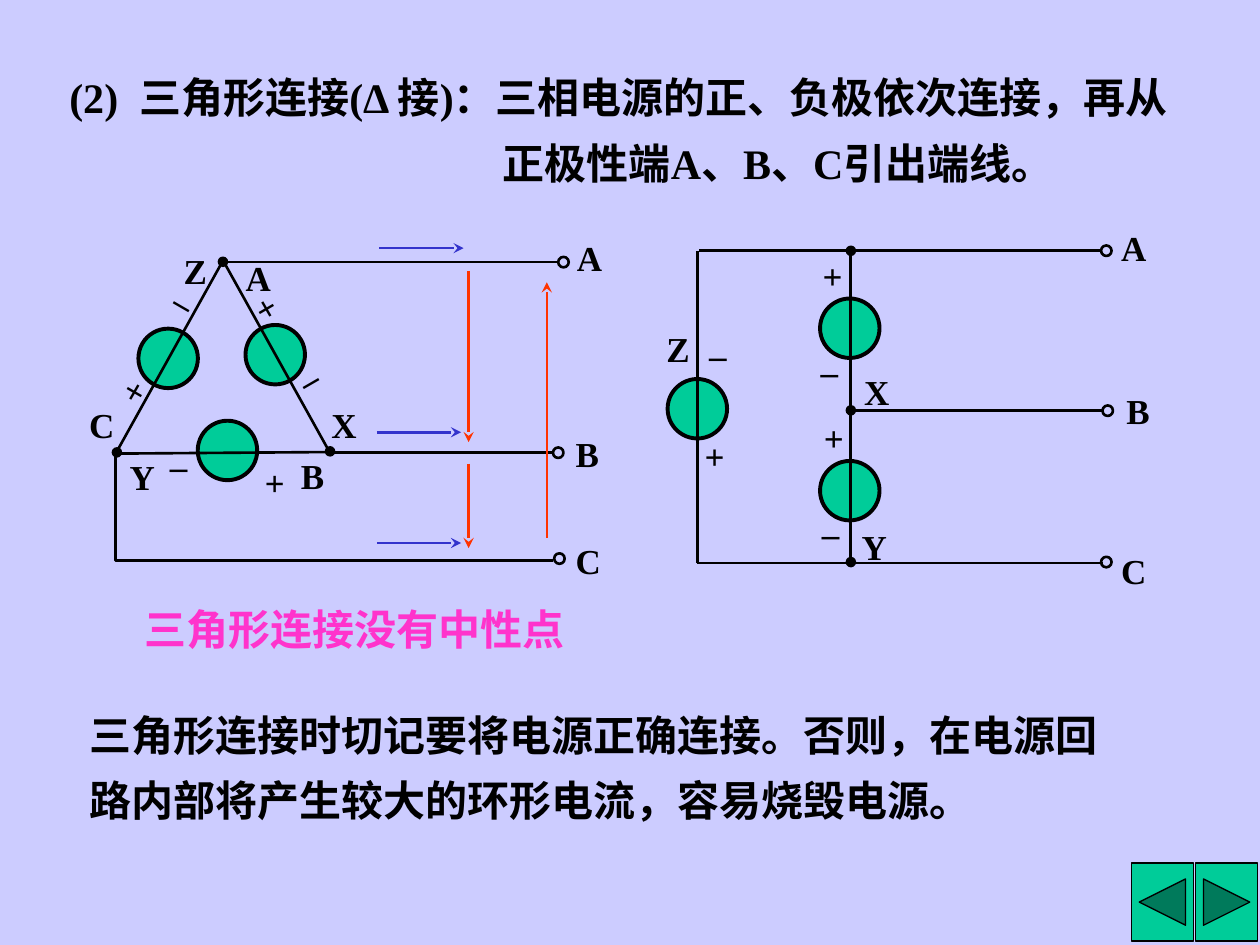
import pptx
import pptx.dml.color
import pptx.enum.shapes
import pptx.enum.text
import pptx.oxml
import pptx.oxml.ns
import pptx.util
from dataclasses import dataclass
from typing import Any

Pt = pptx.util.Pt
SHAPE = pptx.enum.shapes.MSO_SHAPE
ANCHOR = pptx.enum.text.MSO_ANCHOR
COLORS = {
    "background": "CCCCFF",
    "ink": "000000",
    "green": "00CC99",
    "pink": "FF33CC",
    "voltage": "FF3300",
    "current": "3333CC",
}
FONT = "Times New Roman"
SOURCE_SIZE, NODE_SIZE, TERMINAL_SIZE = 34, 4.5, 6
LABEL_WIDTH, SIGN_WIDTH, LABEL_HEIGHT = 37.4, 21.6, 31

Point = tuple[float, float]


@dataclass
class Label:
    text: str
    left: float
    top: float
    rotation: float = 0
    width: float = LABEL_WIDTH


@dataclass
class Arrow:
    start: Point
    end: Point
    color: str


@dataclass
class Circuit:
    sources: list[Point]
    wires: list[list[Point]]
    nodes: list[Point]
    terminals: list[Point]
    labels: list[Label]
    arrows: list[Arrow]


def rgb(name: str) -> pptx.dml.color.RGBColor:
    return pptx.dml.color.RGBColor.from_string(COLORS[name])


def write(p: Any, text: str, *, size: float = 24, color: str = "ink", spacing: float = 0) -> None:
    r = p.add_run()
    r.text = text
    r.font.name = FONT
    r.font.size = Pt(size)
    r.font.bold = True
    r.font.color.rgb = rgb(color)
    if spacing:
        r.font._element.set("spc", str(int(spacing * 100)))


def set_frame(sp: Any, *, anchor: Any = ANCHOR.TOP, wrap: bool = True, line_spacing: float = 1) -> Any:
    tf = sp.text_frame
    tf.word_wrap = wrap
    tf.auto_size = pptx.enum.text.MSO_AUTO_SIZE.SHAPE_TO_FIT_TEXT
    tf.vertical_anchor = anchor
    p = tf.paragraphs[0]
    p.alignment = pptx.enum.text.PP_ALIGN.LEFT
    p.line_spacing = line_spacing
    return p


def add_box(shapes: Any, left: float, top: float, width: float, height: float) -> Any:
    return shapes.add_textbox(Pt(left), Pt(top), Pt(width), Pt(height))


def add_preset(shapes: Any, kind: Any, left: float, top: float, width: float, height: float,
               fill: str | None, weight: float) -> None:
    sp = shapes.add_shape(kind, Pt(left), Pt(top), Pt(width), Pt(height))
    sp.shadow.inherit = False
    if fill:
        sp.fill.solid()
        sp.fill.fore_color.rgb = rgb(fill)
    else:
        sp.fill.background()
    sp.line.color.rgb = rgb("ink")
    sp.line.width = Pt(weight)


def add_circles(shapes: Any, centers: list[Point], size: float, fill: str | None, weight: float) -> None:
    for x, y in centers:
        add_preset(shapes, SHAPE.OVAL, x - size / 2, y - size / 2, size, size, fill, weight)


def add_line(shapes: Any, start: Point, end: Point, color: str = "ink", arrow: bool = False) -> None:
    line = shapes.add_connector(pptx.enum.shapes.MSO_CONNECTOR.STRAIGHT, *map(Pt, start + end))
    line.line.color.rgb = rgb(color)
    line.line.width = Pt(1.5)
    if arrow:
        tail = pptx.oxml.parse_xml(f'<a:tailEnd {pptx.oxml.ns.nsdecls("a")} type="stealth"/>')
        line.line._get_or_add_ln().append(tail)
    line._element.spPr.append(pptx.oxml.parse_xml(f'<a:effectLst {pptx.oxml.ns.nsdecls("a")}/>'))


def add_wire(shapes: Any, points: list[Point]) -> None:
    if len(points) == 2:
        add_line(shapes, *points)
        return
    builder = shapes.build_freeform(*map(Pt, points[0]))
    builder.add_line_segments([(Pt(x), Pt(y)) for x, y in points[1:]], close=False)
    sp = builder.convert_to_shape()
    sp.shadow.inherit = False
    sp.fill.background()
    sp.line.color.rgb = rgb("ink")
    sp.line.width = Pt(1.5)


def add_circuit(slide: Any, circuit: Circuit) -> None:
    shapes = slide.shapes.add_group_shape().shapes
    add_circles(shapes, circuit.sources, SOURCE_SIZE, "green", 2.25)
    for points in circuit.wires:
        add_wire(shapes, points)
    add_circles(shapes, circuit.nodes, NODE_SIZE, "ink", 1.5)
    add_circles(shapes, circuit.terminals, TERMINAL_SIZE, None, 1.5)
    for label in circuit.labels:
        sp = add_box(shapes, label.left, label.top, label.width, LABEL_HEIGHT)
        sp.rotation = label.rotation
        write(set_frame(sp), label.text, size=20)
    for arrow in circuit.arrows:
        add_line(shapes, arrow.start, arrow.end, arrow.color, arrow=True)


def sign(text: str, left: float, top: float, rotation: float = 0) -> Label:
    return Label(text, left, top, rotation, SIGN_WIDTH)


TRIANGLE = Circuit(
    sources=[(157.3, 202.7), (130, 257.4), (96.1, 204.8)],
    wires=[
        [(128, 149.8), (188.6, 258.8)],
        [(190, 258.3), (66.5, 259.2)],
        [(66.5, 258.5), (126.3, 151)],
        [(128, 149.8), (319.5, 149.8)],
        [(188.6, 258.5), (316.5, 258.5)],
        [(66.2, 258.5), (66.2, 320.4), (316.1, 320.4)],
    ],
    nodes=[(188.6, 257.9), (66.8, 258.5), (127.4, 149.6)],
    terminals=[(322, 149.8), (319, 258.7), (319.7, 319.2)],
    labels=[
        Label("A", 133.2, 143.3), Label("X", 182.2, 226.8), Label("B", 164.9, 256.3),
        Label("Y", 67, 257), Label("C", 43.9, 226.8), Label("Z", 97.9, 139),
        Label("A", 322.6, 131.8), Label("B", 321.8, 243.4), Label("C", 321.8, 304.6),
        sign("+", 139, 161.3, 330), sign("–", 164.2, 201.6, 330),
        sign("+", 147.6, 259.2, 90), sign("–", 90, 250.6),
        sign("+", 67, 211, 210), sign("–", 92.2, 163.4, 210),
    ],
    arrows=[
        Arrow((267.8, 154.8), (267.8, 252.7), "voltage"),
        Arrow((267.8, 265), (267.8, 313.2), "voltage"),
        Arrow((312.5, 307.4), (312.5, 161.3), "voltage"),
        Arrow((216.7, 141.8), (265, 141.8), "current"),
        Arrow((215.3, 247), (263.5, 247), "current"),
        Arrow((215.3, 310.3), (263.5, 310.3), "current"),
    ],
)

LADDER = Circuit(
    sources=[(398.5, 233.6), (485.6, 187.6), (485.6, 280.4)],
    wires=[
        [(398.7, 321.8), (398.7, 143.3)],
        [(399.6, 143.3), (629.3, 143.3)],
        [(485.9, 234.7), (630, 234.7)],
        [(398.2, 321.8), (630, 321.8)],
        [(486, 143.3), (486, 321.8)],
    ],
    nodes=[(486.2, 143.3), (486.2, 234.5), (486.2, 321.2)],
    terminals=[(632.2, 143.3), (633, 234.7), (632.2, 321.2)],
    labels=[
        Label("A", 633.6, 126), Label("X", 486.7, 208.1), Label("B", 636.5, 218.9),
        Label("Y", 485.3, 296.6), Label("C", 633.6, 310.3), Label("Z", 373.7, 183.6),
        sign("+", 399.6, 247.7, 180), sign("–", 398.2, 187.2),
        sign("+", 463, 141.8), sign("–", 464.4, 203, 180),
        sign("+", 463.7, 234.7), sign("–", 465.1, 295.9, 180),
    ],
    arrows=[],
)


def main() -> None:
    prs = pptx.Presentation()
    prs.slide_width, prs.slide_height = Pt(720), Pt(540)
    s = prs.slides.add_slide(prs.slide_layouts[5])
    s.background.fill.solid()
    s.background.fill.fore_color.rgb = rgb("background")

    add_preset(s.shapes, SHAPE.ACTION_BUTTON_BACK_OR_PREVIOUS, 646.6, 493.2, 35.3, 44.6, "green", 0.75)
    add_preset(s.shapes, SHAPE.ACTION_BUTTON_FORWARD_OR_NEXT, 683.3, 493.2, 35.3, 44.6, "green", 0.75)

    title = s.shapes.title
    title.left, title.top, title.width, title.height = Pt(32.4), Pt(28.8), Pt(660.2), Pt(82)
    p = set_frame(title, line_spacing=1.3)
    pPr = p._p.get_or_add_pPr()
    pPr.set("marL", str(Pt(247.7)))
    pPr.set("indent", str(-Pt(247.7)))
    write(p, "(2)")
    write(p, " ", spacing=6)
    write(p, "三角形连接(Δ 接)：三相电源的正、负极依次连接，再从正极性端A、B、C引出端线。")

    add_circuit(s, LADDER)
    add_circuit(s, TRIANGLE)

    note = add_box(s.shapes, 75.6, 341.3, 262, 36)
    write(set_frame(note, anchor=ANCHOR.MIDDLE, wrap=False), "三角形连接没有中性点", color="pink")
    warning = add_box(s.shapes, 43.9, 393.1, 592.6, 82)
    write(set_frame(warning, anchor=ANCHOR.MIDDLE, line_spacing=1.3),
          "三角形连接时切记要将电源正确连接。否则，在电源回路内部将产生较大的环形电流，容易烧毁电源。")

    prs.save("out.pptx")


if __name__ == "__main__":
    main()
